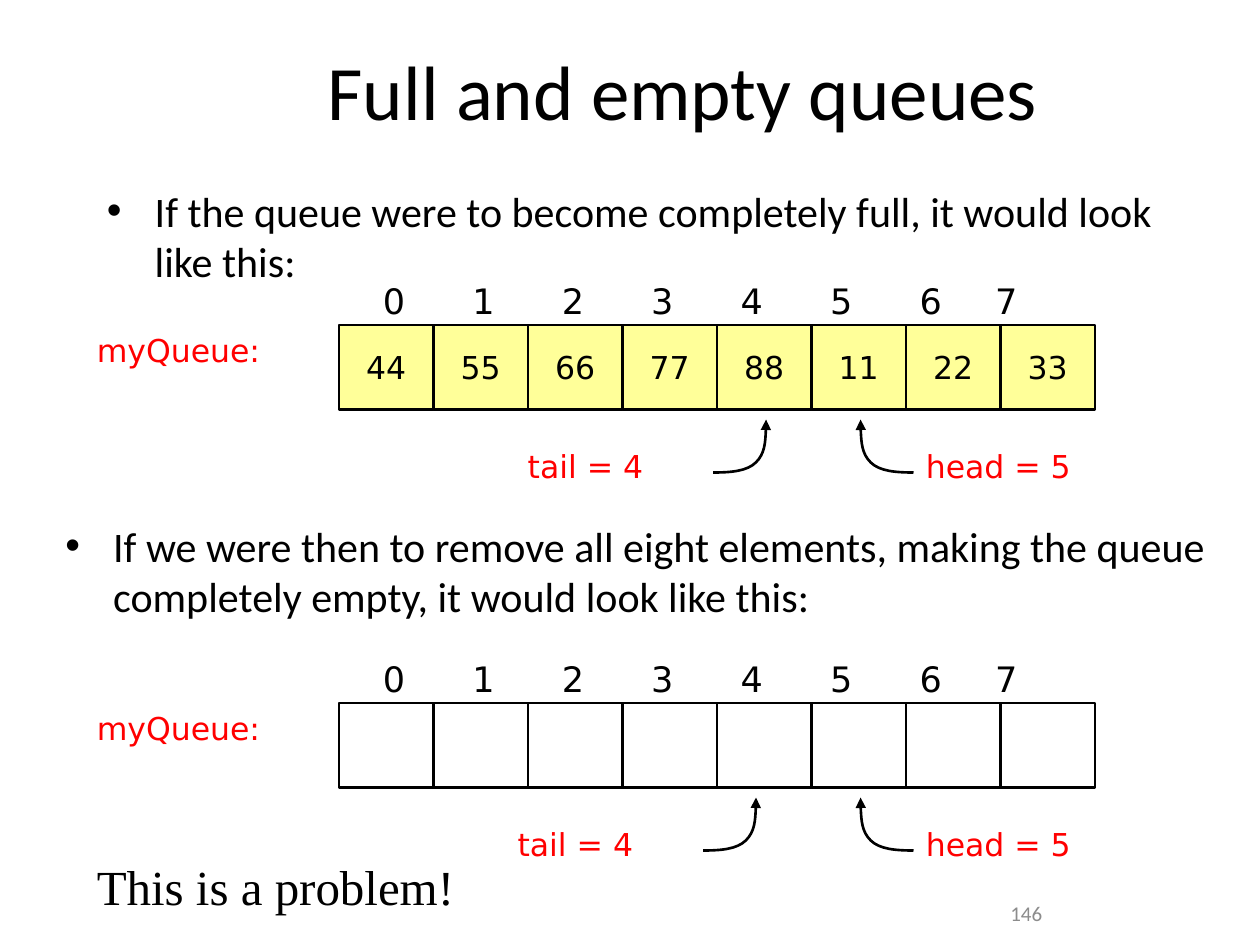
from lxml.etree import SubElement
from pptx import Presentation
from pptx.dml.color import RGBColor
from pptx.enum.shapes import MSO_SHAPE
from pptx.enum.text import MSO_ANCHOR, MSO_AUTO_SIZE, PP_ALIGN
from pptx.oxml.ns import qn
from pptx.util import Inches, Pt

BLACK, RED, GRAY, YELLOW = "000000", "FF0000", "8C8C8C", "FFFF99"
CELL_LEFT, CELL_WIDTH, CELL_HEIGHT = 2.69, 0.75, 0.67
INDEX_TABS = [0.71 * step for step in range(1, 7)] + [4.86]
CURVE = [(0.42, 0.42), (0.28, 0.42), (0.15, 0.41), (0.08, 0.34),
         (0.01, 0.27), (0, 0.14), (0, 0)]


def color(hex_string):
    return RGBColor.from_string(hex_string)


class SlideBuilder:
    body_font = "Calibri"
    diagram_font = "DejaVu Sans"
    line_width = Pt(1.5)

    def __init__(self, deck):
        self.slide = deck.slides.add_slide(deck.slide_layouts[5])
        self.shapes = self.slide.shapes

    def add_text(self, para, text, size, font, hex_string):
        span = para.add_run()
        span.text = text
        span.font.size = Pt(size)
        span.font.name = font
        span.font.color.rgb = color(hex_string)

    def title(self, text, left, top, width, height):
        box = self.shapes.title
        box.left, box.top = Inches(left), Inches(top)
        box.width, box.height = Inches(width), Inches(height)
        frame = box.text_frame
        frame.auto_size = MSO_AUTO_SIZE.NONE
        frame.vertical_anchor = MSO_ANCHOR.MIDDLE
        para = frame.paragraphs[0]
        para.alignment = PP_ALIGN.CENTER
        self.add_text(para, text, 44, self.body_font, BLACK)

    def label(self, text, left, top, width, height, size=18, font=diagram_font,
              hex_string=RED, wrap=True, anchor=MSO_ANCHOR.TOP, parent=None):
        shapes = parent.shapes if parent is not None else self.shapes
        box = shapes.add_textbox(Inches(left), Inches(top), Inches(width), Inches(height))
        frame = box.text_frame
        frame.word_wrap = wrap
        frame.vertical_anchor = anchor
        para = frame.paragraphs[0]
        self.add_text(para, text, size, font, hex_string)
        return para

    def bullet(self, text, left, top, width, height):
        para = self.label(text, left, top, width, height, 24, self.body_font, BLACK)
        properties = para._p.get_or_add_pPr()
        properties.set("marL", str(Inches(0.38)))
        properties.set("indent", str(Inches(-0.38)))
        SubElement(properties, qn("a:buFont"), typeface="Arial")
        SubElement(properties, qn("a:buChar"), char="•")

    def indexes(self, top, group):
        text = "\t".join(str(index) for index in range(8))
        para = self.label(text, 2.94, top, 5.81, 0.43, 20, hex_string=BLACK, parent=group)
        tabs = SubElement(para._p.get_or_add_pPr(), qn("a:tabLst"))
        for position in INDEX_TABS:
            SubElement(tabs, qn("a:tab"), pos=str(Inches(position)), algn="l")

    def outline(self, shape):
        shape.shadow.inherit = False
        shape.line.color.rgb = color(BLACK)
        shape.line.width = self.line_width

    def cell(self, value, left, top, group):
        box = group.shapes.add_shape(MSO_SHAPE.RECTANGLE, Inches(left), Inches(top),
                                     Inches(CELL_WIDTH), Inches(CELL_HEIGHT))
        self.outline(box)
        if not value:
            box.fill.background()
            return
        box.fill.solid()
        box.fill.fore_color.rgb = color(YELLOW)
        frame = box.text_frame
        frame.word_wrap = False
        frame.vertical_anchor = MSO_ANCHOR.MIDDLE
        para = frame.paragraphs[0]
        para.alignment = PP_ALIGN.CENTER
        self.add_text(para, value, 18, self.diagram_font, BLACK)

    def curved_arrow(self, tip_left, tip_top, direction, group):
        points = [(Inches(tip_left - direction * across), Inches(tip_top + down))
                  for across, down in CURVE]
        builder = group.shapes.build_freeform(*points[0])
        builder.add_line_segments(points[1:], close=False)
        arrow = builder.convert_to_shape()
        self.outline(arrow)
        arrow.fill.background()
        outline_path = arrow._element.find(".//" + qn("a:path"))
        segments = outline_path.findall(qn("a:lnTo"))
        for start in range(0, len(segments), 3):
            curve = SubElement(outline_path, qn("a:cubicBezTo"))
            for segment in segments[start:start + 3]:
                curve.append(segment[0])
                outline_path.remove(segment)
        SubElement(arrow.line._get_or_add_ln(), qn("a:tailEnd"), type="triangle")

    def queue(self, values, top, tail_tip):
        group = self.shapes.add_group_shape()
        for index, value in enumerate(values):
            self.cell(value, CELL_LEFT + index * CELL_WIDTH, top, group)
        self.indexes(top - 0.41, group)
        self.label("myQueue:", 0.67, top, 1.53, 0.4, wrap=False, parent=group)
        self.label("tail = 4", tail_tip - 1.99, top + 0.92, 1.83, 0.4, parent=group)
        self.curved_arrow(tail_tip, top + 0.75, 1, group)
        self.label("head = 5", 7.25, top + 0.92, 1.83, 0.4, parent=group)
        self.curved_arrow(6.83, top + 0.75, -1, group)


def main():
    deck = Presentation()
    deck.slide_width, deck.slide_height = Inches(10), Inches(7.5)
    page = SlideBuilder(deck)
    page.label("146", 7.92, 7, 2.08, 0.5, 12, page.body_font, GRAY,
               anchor=MSO_ANCHOR.MIDDLE)
    page.title("Full and empty queues", 1.42, 0.25, 8, 0.92)
    page.bullet("If the queue were to become completely full, it would look like this:",
                0.75, 1.42, 8.5, 0.92)
    page.bullet("If we were then to remove all eight elements, making the queue "
                "completely empty, it would look like this:", 0.42, 4.08, 9.38, 0.99)
    page.queue(["44", "55", "66", "77", "88", "11", "22", "33"], 2.58, 6.08)
    page.queue([""] * 8, 5.58, 6)
    page.label("This is a problem!", 0.67, 6.75, 3.5, 0.57, 28, "Times New Roman", BLACK)
    deck.save("out.pptx")


if __name__ == "__main__":
    main()
